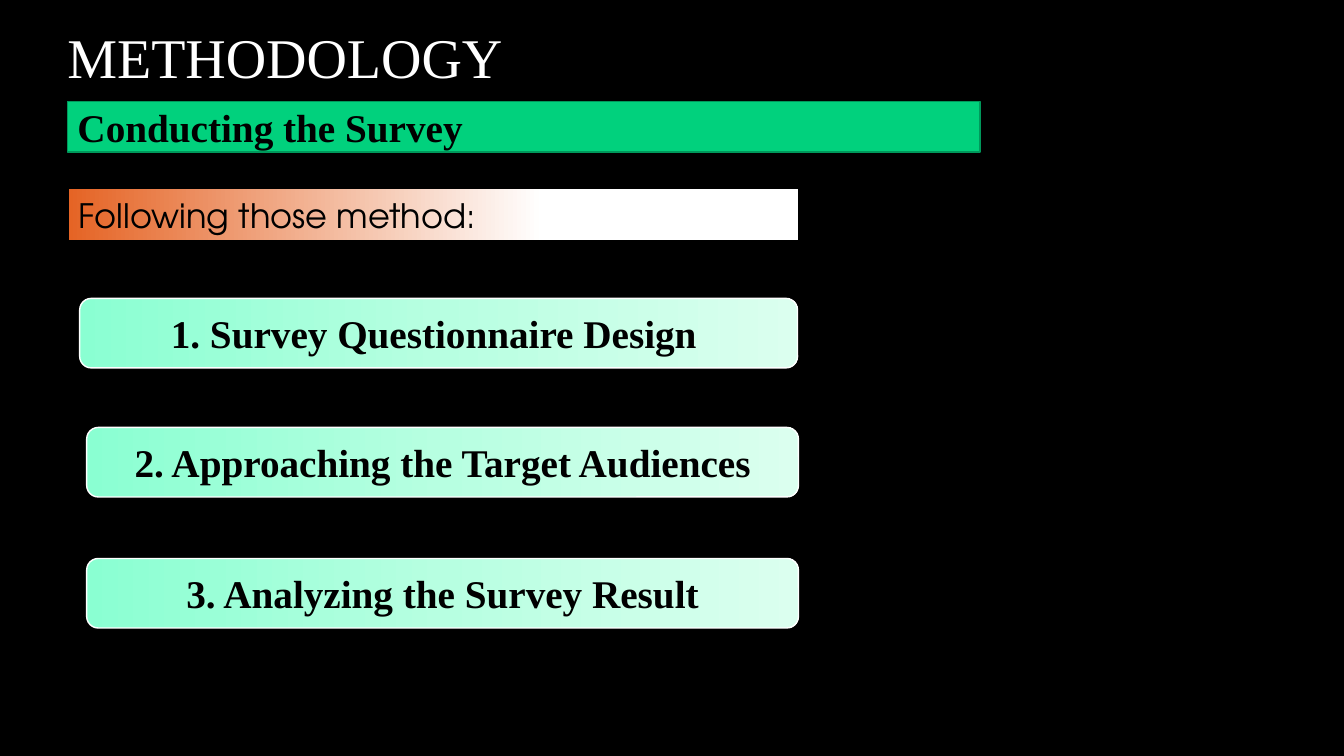
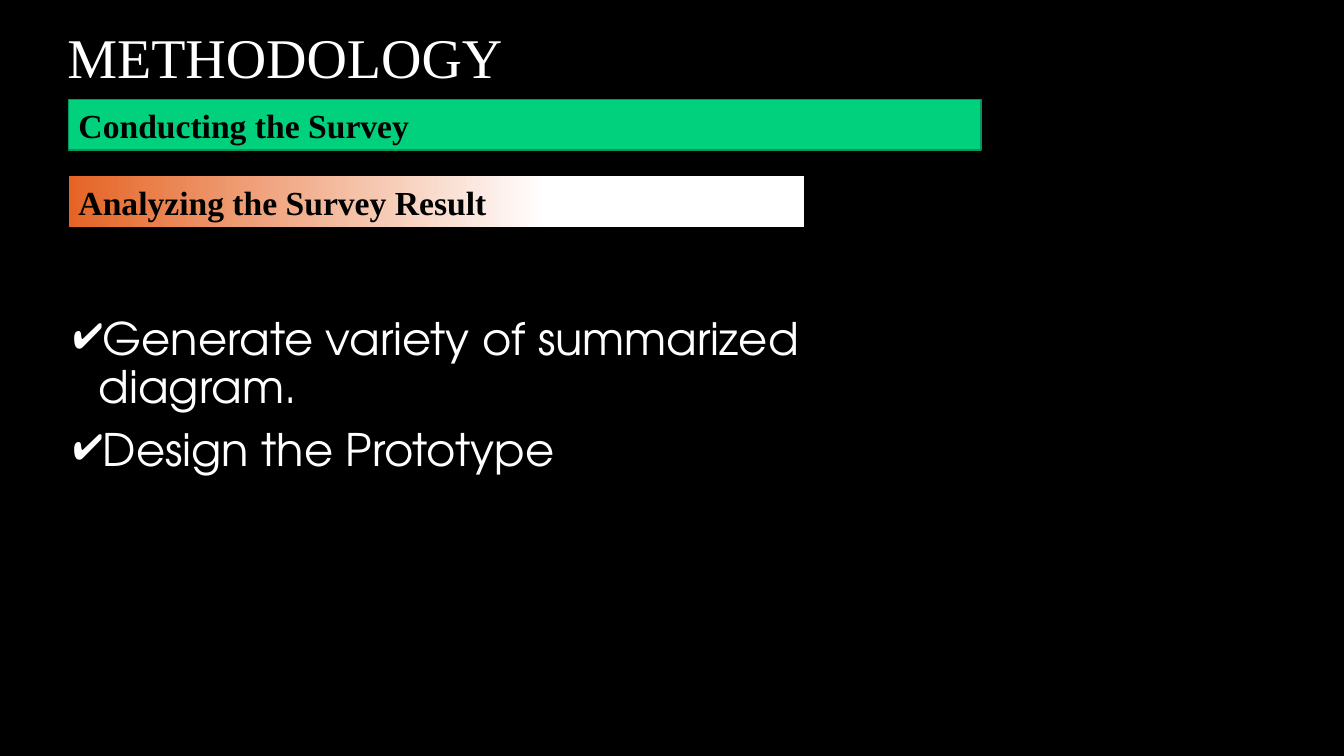
"""Build two methodology slides about conducting a survey."""
import lxml.etree
import pptx
import pptx.dml.color
import pptx.enum.shapes
import pptx.enum.text
import pptx.oxml.ns
import pptx.util

Inches = pptx.util.Inches
Pt = pptx.util.Pt
qn = pptx.oxml.ns.qn
rgb = pptx.dml.color.RGBColor.from_string
SHAPES = pptx.enum.shapes.MSO_SHAPE
ALIGN = pptx.enum.text.PP_ALIGN
ANCHOR = pptx.enum.text.MSO_ANCHOR

BLACK, WHITE = "000000", "FFFFFF"
GREEN, DARK_GREEN = "01D17D", "00985B"
ORANGE_FADE = [(0, "E56425"), (65, WHITE), (100, WHITE)]
MINT_FADE = [(0, "8AFFD2"), (50, "B7FFE1"), (100, "DBFFEF")]
SERIF, SANS = "Times New Roman", "TeX Gyre Adventor"


def style_text(paragraph, text, size, name=SERIF, color=BLACK, bold=False):
    paragraph.text = text
    font = paragraph.font
    font.size, font.name, font.bold = Pt(size), name, bold
    font.color.rgb = rgb(color)


def add_panel(page, preset, left, top, width, height, fill, line=None):
    panel = page.shapes.add_shape(
        preset, Inches(left), Inches(top), Inches(width), Inches(height))
    panel.shadow.inherit = False
    if isinstance(fill, str):
        panel.fill.solid()
        panel.fill.fore_color.rgb = rgb(fill)
    else:
        panel.fill.gradient()
        panel.fill.gradient_angle = 0
        stops = panel.element.spPr.find(qn("a:gradFill")).find(qn("a:gsLst"))
        for stop in list(stops):
            stops.remove(stop)
        for percent, color in fill:
            stop = lxml.etree.SubElement(stops, qn("a:gs"), pos=str(percent * 1000))
            lxml.etree.SubElement(stop, qn("a:srgbClr"), val=color)
    if line:
        panel.line.color.rgb = rgb(line)
        panel.line.width = Pt(1)
    else:
        panel.line.fill.background()
    panel.text_frame.word_wrap = True
    panel.text_frame.vertical_anchor = ANCHOR.MIDDLE
    paragraph = panel.text_frame.paragraphs[0]
    paragraph.alignment = ALIGN.LEFT
    return paragraph


deck = pptx.Presentation()
deck.slide_width, deck.slide_height = Inches(13.33), Inches(7.5)
background = deck.slide_master.background.fill
background.solid()
background.fore_color.rgb = rgb(BLACK)

headings = [
    (0.67, 1.01, 28, "Following those method:", 1.88, 7.24, SANS, False),
    (0.68, 0.99, 24, "Analyzing the Survey Result", 1.75, 7.29, SERIF, True),
]
pages = []
for band_left, band_top, band_size, topic, topic_top, topic_width, name, bold in headings:
    page = deck.slides.add_slide(deck.slide_layouts[6])
    pages.append(page)

    title = page.shapes.add_textbox(Inches(0.57), Inches(0.27), Inches(9.16), Inches(0.65))
    title.text_frame.word_wrap = True
    title.text_frame.vertical_anchor = ANCHOR.MIDDLE
    paragraph = title.text_frame.paragraphs[0]
    paragraph.line_spacing = 0.9
    style_text(paragraph, "METHODOLOGY", 40, color=WHITE)

    band = add_panel(page, SHAPES.RECTANGLE, band_left, band_top, 9.05, 0.5,
                     GREEN, DARK_GREEN)
    style_text(band, "Conducting the Survey", band_size, bold=True)

    bar = add_panel(page, SHAPES.RECTANGLE, 0.68, topic_top, topic_width, 0.5, ORANGE_FADE)
    style_text(bar, topic, 24, name, bold=bold)

method_page, result_page = pages

methods = [
    (0.79, 2.96, 7.12, "1. Survey Questionnaire Design "),
    (0.86, 4.24, 7.06, "2. Approaching the Target Audiences"),
    (0.86, 5.54, 7.06, "3. Analyzing the Survey Result"),
]
for left, top, width, text in methods:
    step = add_panel(method_page, SHAPES.ROUNDED_RECTANGLE, left, top, width, 0.69,
                     MINT_FADE, WHITE)
    step.alignment = ALIGN.CENTER
    style_text(step, text, 28, bold=True)

body = result_page.shapes.add_textbox(Inches(0.63), Inches(3.09), Inches(8.84), Inches(4.01))
frame = body.text_frame
frame.word_wrap = True
for index, text in enumerate(["Generate variety of summarized diagram.",
                              "Design the Prototype"]):
    paragraph = frame.add_paragraph() if index else frame.paragraphs[0]
    properties = paragraph._p.get_or_add_pPr()
    properties.set("marL", str(Inches(0.25)))
    properties.set("indent", str(-Inches(0.25)))
    bullet_color = lxml.etree.SubElement(properties, qn("a:buClr"))
    lxml.etree.SubElement(bullet_color, qn("a:srgbClr"), val=WHITE)
    lxml.etree.SubElement(properties, qn("a:buChar"), char="✔")
    paragraph.line_spacing = 0.9
    if index:
        paragraph.space_before = Pt(10)
    style_text(paragraph, text, 32, SANS, WHITE)

deck.save("out.pptx")
